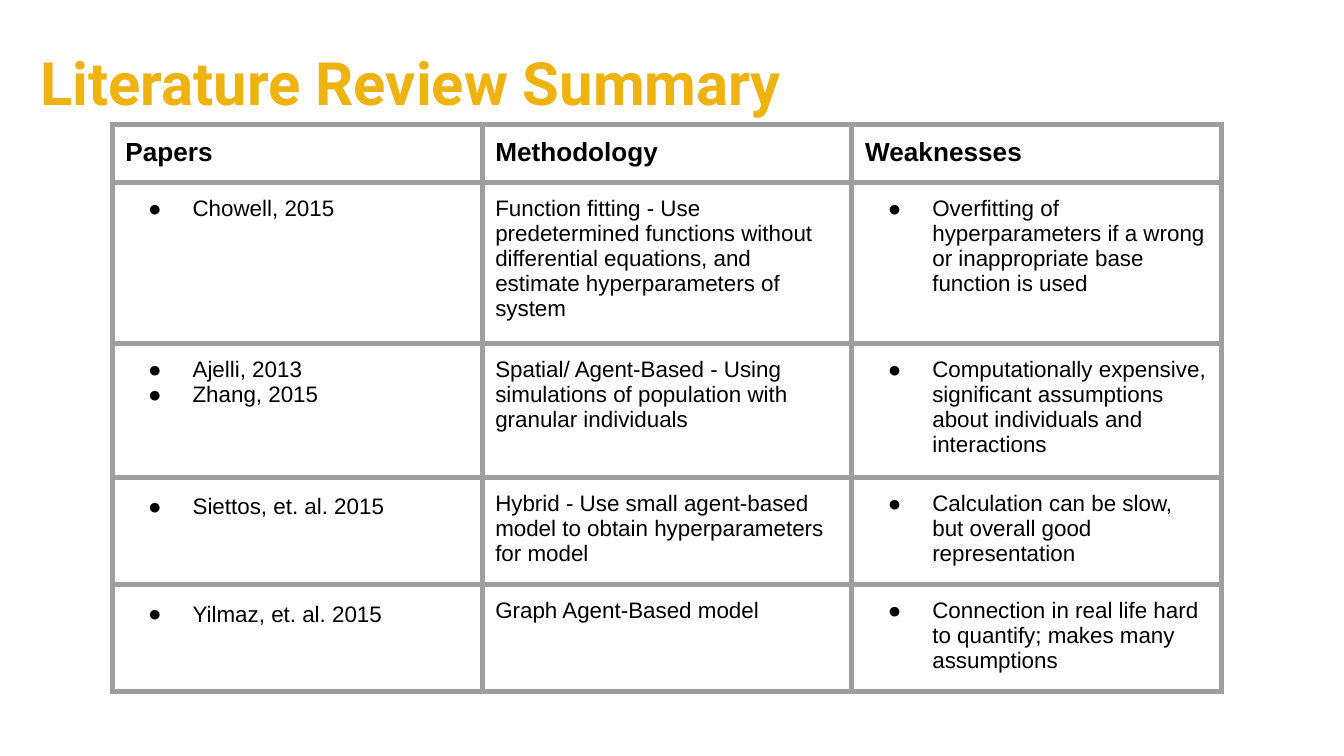
from lxml.etree import SubElement as Sub
from pptx import Presentation as Deck
from pptx.dml.color import RGBColor as RGB
from pptx.enum.text import MSO_ANCHOR as Anchor, PP_ALIGN as Align
from pptx.oxml.ns import qn
from pptx.util import Cm, Pt

GOLD = RGB(0xEE, 0xB2, 0x11)
BLACK = RGB(0, 0, 0)
GRAY = RGB(0x9E, 0x9E, 0x9E)

TITLE = {"name": "Roboto", "size": Pt(32), "bold": True}
HEAD = {"name": "Arial", "size": Pt(14), "bold": True}
BODY = {"name": "Arial", "size": Pt(12), "bold": False}
PAD = {"margin_left": Cm(0.25), "margin_right": Cm(0.25),
       "margin_top": Cm(0.25), "margin_bottom": Cm(0.25)}

HEADS = ["Papers", "Methodology", "Weaknesses"]
ROWS = [
    (["Chowell, 2015"],
     "Function fitting - Use predetermined functions without differential "
     "equations, and estimate hyperparameters of system",
     "Overfitting of hyperparameters if a wrong or inappropriate base "
     "function is used", 2.88, 1),
    (["Ajelli, 2013", "Zhang, 2015"],
     "Spatial/ Agent-Based - Using simulations of population with "
     "granular individuals",
     "Computationally expensive, significant assumptions about "
     "individuals and interactions", 2.41, 1),
    (["Siettos, et. al. 2015"],
     "Hybrid - Use small agent-based model to obtain hyperparameters for model",
     "Calculation can be slow, but overall good representation", 1.93, 1.15),
    (["Yilmaz, et. al. 2015"],
     "Graph Agent-Based model",
     "Connection in real life hard to quantify; makes many assumptions",
     1.93, 1.15),
]


def style(obj, form):
    for key, val in form.items():
        setattr(obj, key, val)


def write(para, text, form, color):
    run = para.add_run()
    run.text = text
    style(run.font, form)
    run.font.color.rgb = color


def bullet(para):
    props = para._p.get_or_add_pPr()
    props.set("marL", str(Cm(1.27)))
    props.set("indent", str(Cm(-0.84)))
    Sub(props, qn("a:buFont"), typeface="Arial")
    Sub(props, qn("a:buChar"), char="●")


def border(cell):
    props = cell._tc.get_or_add_tcPr()
    for side in "LRTB":
        line = Sub(props, qn(f"a:ln{side}"), w=str(Pt(3)))
        fill = Sub(line, qn("a:solidFill"))
        Sub(fill, qn("a:srgbClr"), val=str(GRAY))


def fill_cell(cell, lines, form, dots=False, space=1):
    style(cell, PAD)
    border(cell)
    cell.fill.background()
    frame = cell.text_frame
    for num, text in enumerate(lines):
        para = frame.add_paragraph() if num else frame.paragraphs[0]
        style(para, {"alignment": Align.LEFT, "line_spacing": space})
        if dots:
            bullet(para)
        write(para, text, form, BLACK)


def add_title(slide, box, text):
    frame = slide.shapes.add_textbox(*box).text_frame
    style(frame, {"word_wrap": True, "vertical_anchor": Anchor.MIDDLE,
                  "margin_left": Cm(0.76)})
    write(frame.paragraphs[0], text, TITLE, GOLD)


def add_grid(slide, box, heads, rows):
    grid = slide.shapes.add_table(len(rows) + 1, len(heads), *box).table
    style(grid, {"first_row": False, "horz_banding": False})
    for col in grid.columns:
        col.width = box[2] // len(heads)
    grid.rows[0].height = Cm(1.05)
    for cell, text in zip(grid.rows[0].cells, heads):
        fill_cell(cell, [text], HEAD)
    for num, (papers, method, flaw, high, space) in enumerate(rows, 1):
        row = grid.rows[num]
        row.height = Cm(high)
        first, mid, last = row.cells
        fill_cell(first, papers, BODY, True, space)
        fill_cell(mid, [method], BODY)
        fill_cell(last, [flaw], BODY, True)


def main():
    deck = Deck()
    style(deck, {"slide_width": Cm(25.4), "slide_height": Cm(14.29)})
    slide = deck.slides.add_slide(deck.slide_layouts[6])
    add_title(slide, (Cm(0), Cm(0.51), Cm(25.4), Cm(2.06)),
              "Literature Review Summary")
    add_grid(slide, (Cm(2.12), Cm(2.36), Cm(20.97), Cm(10.2)), HEADS, ROWS)
    deck.save("out.pptx")


if __name__ == "__main__":
    main()
